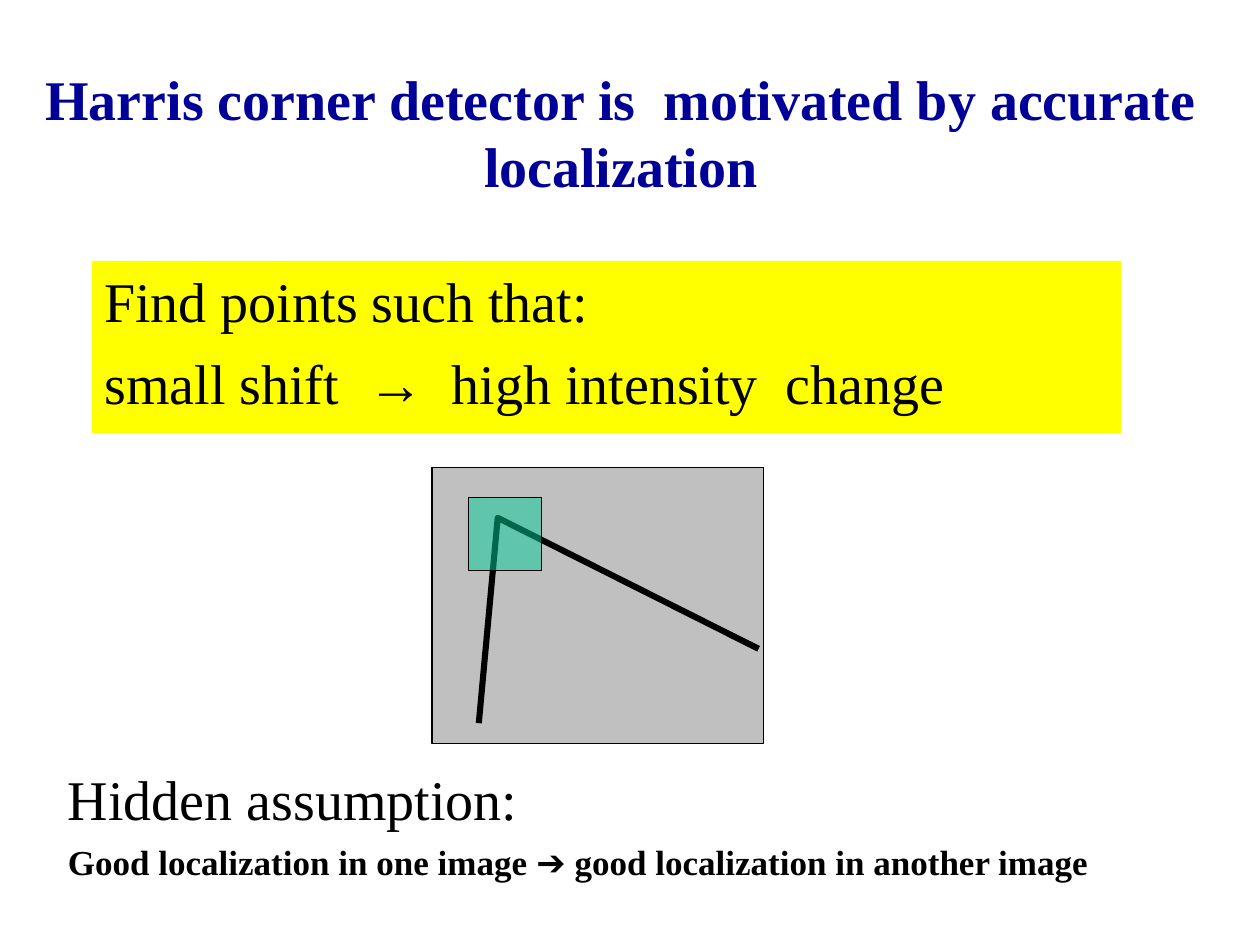
"""Build a slide on the motivation of the Harris corner detector."""
from lxml.etree import SubElement
from pptx import Presentation
from pptx.dml.color import RGBColor
from pptx.enum.shapes import MSO_SHAPE as Shape
from pptx.enum.text import MSO_ANCHOR as Anchor, PP_ALIGN as Align
from pptx.oxml.ns import qn
from pptx.util import Inches, Pt

COLORS = {"title": "000099", "ink": "000000", "note": "FFFF00",
          "image": "C0C0C0", "window": "00CC99"}
SERIF, SANS = "Times New Roman", "Arial"
ARROWS = "→➔"

TITLE = [(["Harris corner detector is  motivated by accurate localization"], 32, True, 0)]
GOAL = [(["Find points such that:"], 32, False, 0),
        (["small shift  ", "→", "  high intensity  change"], 32, False, 8)]
ASSUMPTION = [(["Hidden assumption:"], 32, False, 0),
              (["Good localization in one image ", "➔",
                " good localization in another image"], 20, True, 5)]

TITLE_AREA = (0.25, 0.42, 9.36, 1.25)
GOAL_AREA = (0.73, 2.07, 8.17, 1.37)
ASSUMPTION_AREA = (0.44, 6.02, 9.19, 1.1)
IMAGE_AREA = (3.43, 3.71, 2.63, 2.19)
WINDOW_AREA = (3.72, 3.95, 0.58, 0.58)
CORNER = [(3.8, 5.74), (3.95, 4.11), (6.02, 5.15)]


def color(name):
    return RGBColor.from_string(COLORS[name])


def add_rectangle(page, area, fill, outlined=True):
    box = page.shapes.add_shape(Shape.RECTANGLE, *map(Inches, area))
    box.shadow.inherit = False
    box.fill.solid()
    box.fill.fore_color.rgb = color(fill)
    if outlined:
        box.line.color.rgb = color("ink")
        box.line.width = Pt(0.75)
    else:
        box.line.fill.background()
    return box


def write(box, paragraphs, ink="ink", align=Align.LEFT, anchor=Anchor.TOP):
    frame = box.text_frame
    frame.word_wrap = True
    frame.vertical_anchor = anchor
    for index, (pieces, size, bold, before) in enumerate(paragraphs):
        para = frame.add_paragraph() if index else frame.paragraphs[0]
        para.alignment = align
        para.space_before = Pt(before)
        for piece in pieces:
            span = para.add_run()
            span.text = piece
            span.font.name = SANS if piece in ARROWS else SERIF
            span.font.size = Pt(size)
            span.font.bold = bold
            span.font.color.rgb = color(ink)


def add_corner(page, points):
    start, *rest = [tuple(map(Inches, point)) for point in points]
    builder = page.shapes.build_freeform(*start)
    builder.add_line_segments(rest, close=False)
    corner = builder.convert_to_shape()
    corner.shadow.inherit = False
    corner.fill.background()
    corner.line.color.rgb = color("ink")
    corner.line.width = Pt(3.5)


def main():
    deck = Presentation()
    deck.slide_width, deck.slide_height = Inches(10), Inches(7.5)
    page = deck.slides.add_slide(deck.slide_layouts[6])

    title = page.shapes.add_textbox(*map(Inches, TITLE_AREA))
    write(title, TITLE, "title", Align.CENTER, Anchor.MIDDLE)

    add_rectangle(page, IMAGE_AREA, "image")
    add_corner(page, CORNER)
    window = add_rectangle(page, WINDOW_AREA, "window")
    tint = window.fill._xPr.find(qn("a:solidFill"))[0]
    SubElement(tint, qn("a:alpha"), val="50000")

    write(add_rectangle(page, GOAL_AREA, "note", outlined=False), GOAL)
    assumption = page.shapes.add_textbox(*map(Inches, ASSUMPTION_AREA))
    write(assumption, ASSUMPTION)
    deck.save("out.pptx")


if __name__ == "__main__":
    main()
